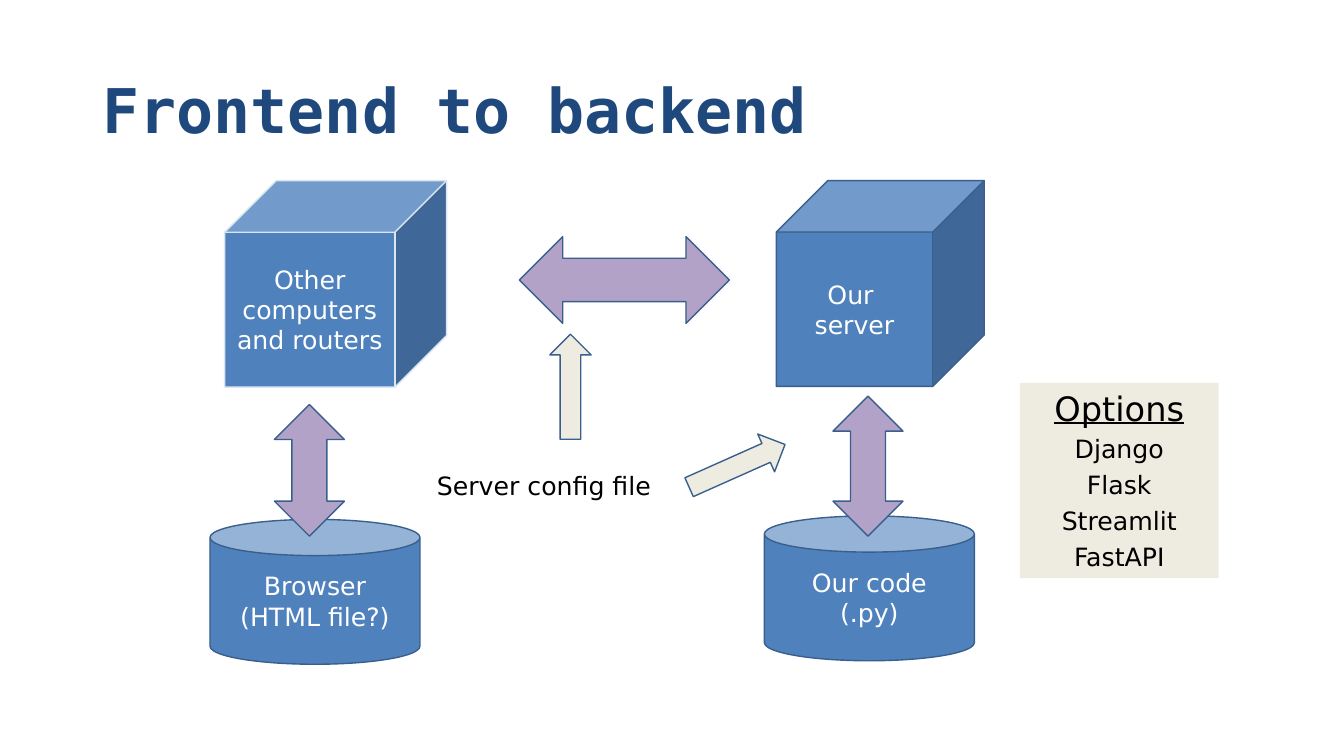
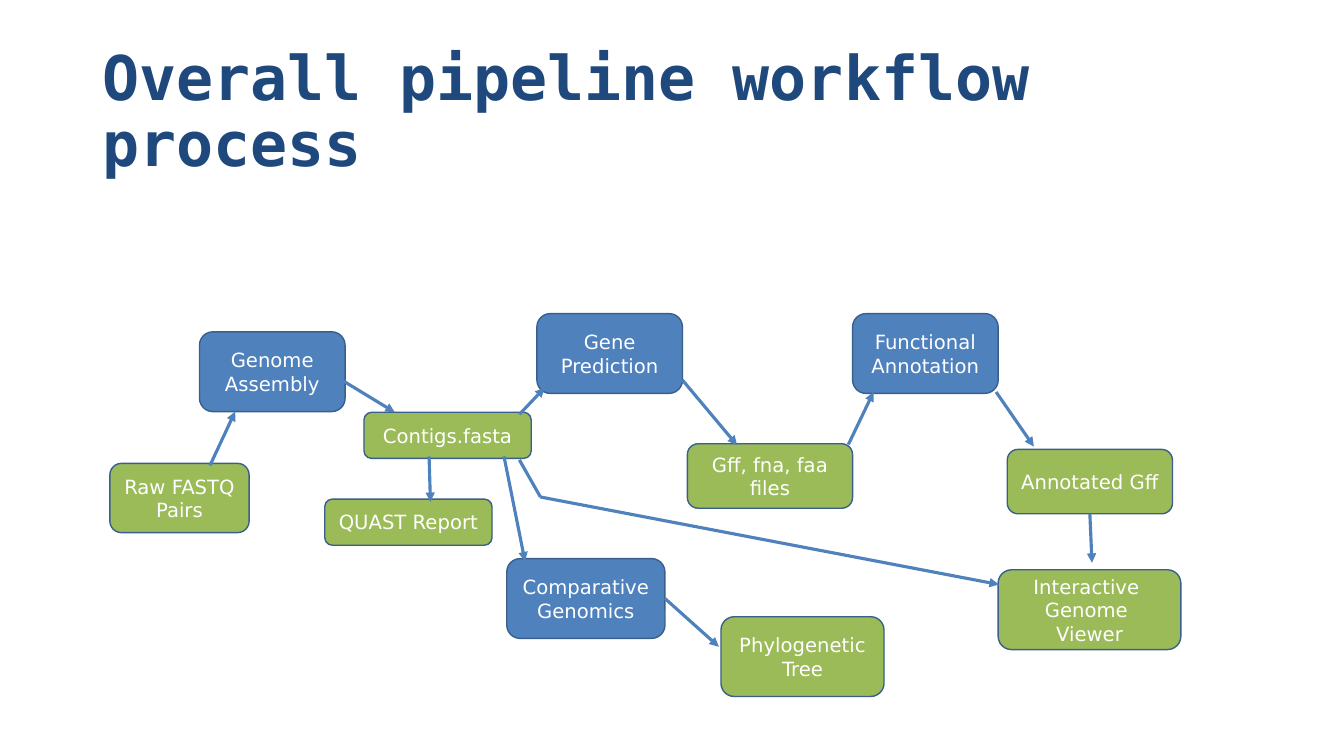
from pptx import Presentation
from pptx.dml.color import RGBColor
from pptx.enum.shapes import MSO_CONNECTOR, MSO_SHAPE
from pptx.enum.text import MSO_ANCHOR, MSO_AUTO_SIZE, PP_ALIGN
from pptx.oxml.ns import qn
from pptx.util import Pt
from lxml import etree

CAN, CUBE, BOX = MSO_SHAPE.CAN, MSO_SHAPE.CUBE, MSO_SHAPE.RECTANGLE
ROUNDED = MSO_SHAPE.ROUNDED_RECTANGLE
TWO_WAY, ONE_WAY = MSO_SHAPE.LEFT_RIGHT_ARROW, MSO_SHAPE.RIGHT_ARROW
STRAIGHT = MSO_CONNECTOR.STRAIGHT
LEFT, CENTER = PP_ALIGN.LEFT, PP_ALIGN.CENTER
TOP, MIDDLE = MSO_ANCHOR.TOP, MSO_ANCHOR.MIDDLE
FIXED, GROW = MSO_AUTO_SIZE.NONE, MSO_AUTO_SIZE.SHAPE_TO_FIT_TEXT
BOTTOM_SIDE, RIGHT_SIDE = 2, 3

BLUE, GREEN, PURPLE, CREAM = "4F81BD", "9BBB59", "B3A2C7", "EEECE1"
EDGE, PALE_EDGE = "3A5F8C", "DCE6F2"
NAVY, WHITE, BLACK = "1F497D", "FFFFFF", "000000"
SANS, MONO = "DejaVu Sans", "DejaVu Sans Mono"

SLIDE_SIZE = (960, 540)
TITLE_FRAME = (66, 29, 828, 104)
TITLE_FONT = {"name": MONO, "size": Pt(44), "bold": True}
NODE_FONT = {"name": SANS, "size": Pt(18)}
STEP_FONT = {"name": SANS, "size": Pt(14)}
HEADING_FONT = {"name": SANS, "size": Pt(24), "underline": True}

# Frames are left, top, width, height in points.
MACHINES = [
    (CAN, ["Browser", "(HTML file?)"], (150, 371, 150, 103.5), EDGE),
    (CUBE, ["Other computers and routers"], (160.5, 129, 158.5, 147.5), PALE_EDGE),
    (CUBE, ["Our ", "server"], (554.5, 129, 148.5, 147), EDGE),
    (CAN, ["Our code", "(.py)"], (546, 368.5, 150, 103.5), EDGE),
]
BLOCK_ARROWS = [
    (TWO_WAY, (371, 169, 150, 62), 0, PURPLE),
    (TWO_WAY, (570, 308, 100, 50), 90, PURPLE),
    (TWO_WAY, (174, 311, 94, 50), 90, PURPLE),
    (ONE_WAY, (370, 261.5, 75, 29.5), 270, CREAM),
    (ONE_WAY, (489, 318, 75, 29.5), 336, CREAM),
]
CONFIG_LABEL = ("Server config file", (305, 332.5, 195, 29))
OPTIONS = ["Options", "Django", "Flask", "Streamlit", "FastAPI"]
OPTIONS_FRAME = (728.5, 273.5, 142, 139.5)

STEPS = {
    "assembly": (["Genome Assembly"], (142.5, 237, 104, 57), BLUE),
    "reads": (["Raw FASTQ Pairs"], (78.5, 331, 99.5, 49.5), GREEN),
    "contigs": (["Contigs.fasta"], (260, 294.5, 119.5, 33), GREEN),
    "prediction": (["Gene Prediction"], (383.5, 224, 104, 57), BLUE),
    "genes": (["Gff, fna, faa files"], (491, 317, 118, 46), GREEN),
    "annotation": (["Functional Annotation"], (609, 224, 104, 57), BLUE),
    "annotated": (["Annotated Gff"], (719.5, 321, 118, 46), GREEN),
    "comparison": (["Comparative Genomics"], (362, 399, 113, 57), BLUE),
    "tree": (["Phylogenetic Tree"], (515, 440.5, 116.5, 57), GREEN),
    "viewer": (["Interactive ", "Genome ", "Viewer"], (713, 407, 130.5, 57), GREEN),
    "report": (["QUAST Report"], (232, 356.5, 119.5, 33), GREEN),
}
# Start, end, arrowhead, and the step and side where the line is joined.
FLOWS = [
    ((150, 332.5), (168, 294), True, None),
    ((245, 272), (282, 294.5), True, None),
    ((360, 326), (375, 401), True, None),
    ((371, 296), (389, 277), True, None),
    ((487.5, 271.5), (526.5, 318), True, None),
    ((475, 427.5), (513.5, 462), True, ("comparison", RIGHT_SIDE)),
    ((606, 317.5), (624, 280), True, None),
    ((711.5, 280), (738.5, 319), True, None),
    ((778.5, 367), (780, 402), True, ("annotated", BOTTOM_SIDE)),
    ((371, 328.5), (386, 355), False, None),
    ((386, 355), (713.5, 417.5), True, None),
    ((306.5, 326), (307.5, 358.5), True, None),
]


def rgb(hex_color):
    return RGBColor.from_string(hex_color)


def points(values):
    return [Pt(value) for value in values]


def set_all(target, formats):
    for attribute, value in formats.items():
        setattr(target, attribute, value)


def write(shape, lines, font, color, align=CENTER, anchor=MIDDLE, grow=FIXED, **paragraph_format):
    """Fill the shape with one paragraph per line, all in one style."""
    frame = shape.text_frame
    set_all(frame, {"word_wrap": True, "vertical_anchor": anchor, "auto_size": grow})
    for number, line in enumerate(lines):
        paragraph = frame.add_paragraph() if number else frame.paragraphs[0]
        set_all(paragraph, {"alignment": align, **paragraph_format})
        run = paragraph.add_run()
        run.text = line
        set_all(run.font, font)
        run.font.color.rgb = rgb(color)


def add_titled_slide(deck, title):
    slide = deck.slides.add_slide(deck.slide_layouts[5])
    heading = slide.shapes.title
    set_all(heading, dict(zip(("left", "top", "width", "height"), points(TITLE_FRAME))))
    write(heading, [title], TITLE_FONT, NAVY, LEFT, line_spacing=0.9)
    return slide


def add_filled(slide, kind, frame, fill, edge=EDGE):
    shape = slide.shapes.add_shape(kind, *points(frame))
    shape.shadow.inherit = False
    shape.fill.solid()
    shape.fill.fore_color.rgb = rgb(fill)
    if edge:
        shape.line.color.rgb = rgb(edge)
        shape.line.width = Pt(1)
    else:
        shape.line.fill.background()
    return shape


def add_flow(slide, start, end, arrowhead):
    flow = slide.shapes.add_connector(STRAIGHT, *points(start + end))
    flow.line.color.rgb = rgb(BLUE)
    flow.line.width = Pt(2.25)
    if arrowhead:
        etree.SubElement(flow.line._get_or_add_ln(), qn("a:tailEnd"), type="triangle")
    etree.SubElement(flow._element.spPr, qn("a:effectLst"))
    return flow


def build_architecture(deck):
    slide = add_titled_slide(deck, "Frontend to backend")
    for kind, lines, frame, edge in MACHINES:
        write(add_filled(slide, kind, frame, BLUE, edge), lines, NODE_FONT, WHITE)
    for kind, frame, angle, fill in BLOCK_ARROWS:
        add_filled(slide, kind, frame, fill).rotation = angle

    label, label_frame = CONFIG_LABEL
    config = slide.shapes.add_textbox(*points(label_frame))
    write(config, [label], NODE_FONT, BLACK, LEFT, TOP, GROW)

    options = add_filled(slide, BOX, OPTIONS_FRAME, CREAM, None)
    write(options, OPTIONS, NODE_FONT, BLACK, CENTER, TOP, GROW,
          space_before=Pt(2), space_after=Pt(2))
    set_all(options.text_frame.paragraphs[0].runs[0].font, HEADING_FONT)


def build_pipeline(deck):
    slide = add_titled_slide(deck, "Overall pipeline workflow process")
    boxes = {}
    for step, (lines, frame, fill) in STEPS.items():
        boxes[step] = add_filled(slide, ROUNDED, frame, fill)
        write(boxes[step], lines, STEP_FONT, WHITE)
    for start, end, arrowhead, joint in FLOWS:
        flow = add_flow(slide, start, end, arrowhead)
        if joint:
            step, side = joint
            flow.begin_connect(boxes[step], side)


def main():
    deck = Presentation()
    deck.slide_width, deck.slide_height = points(SLIDE_SIZE)
    build_architecture(deck)
    build_pipeline(deck)
    deck.save("out.pptx")


if __name__ == "__main__":
    main()
